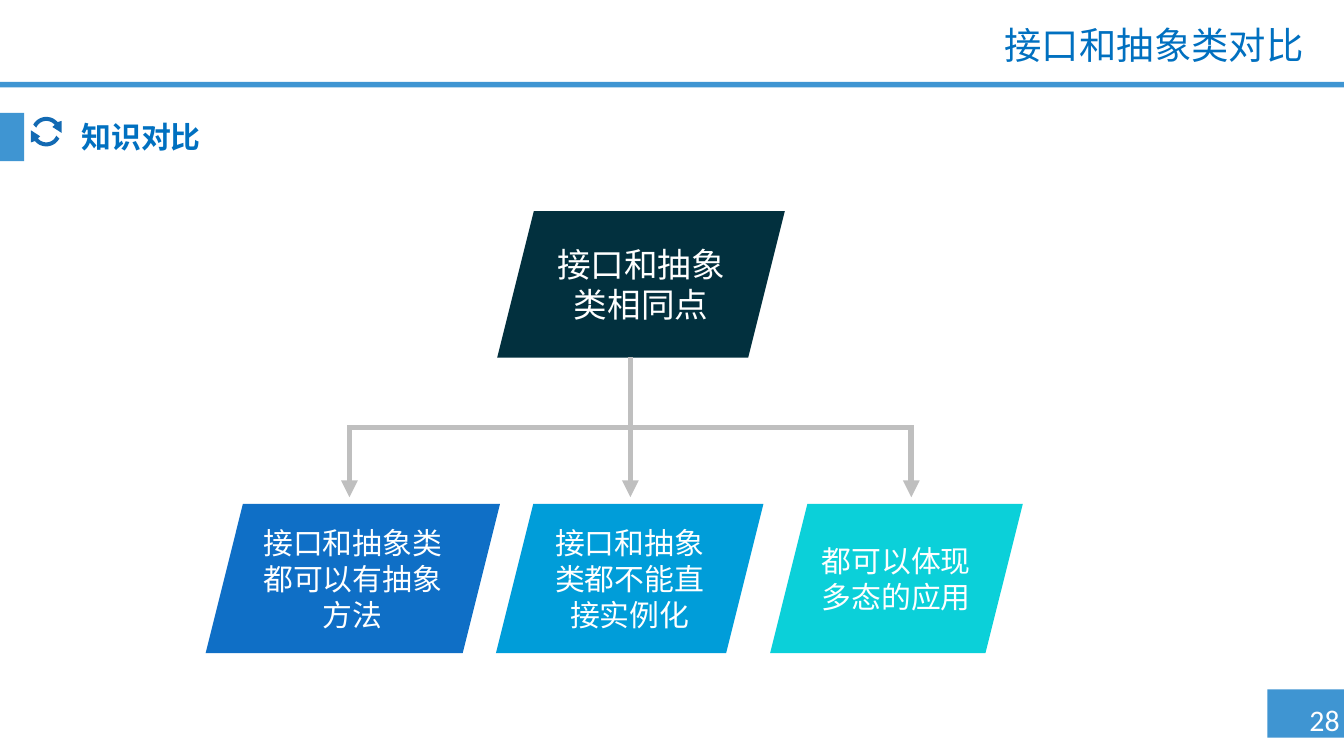
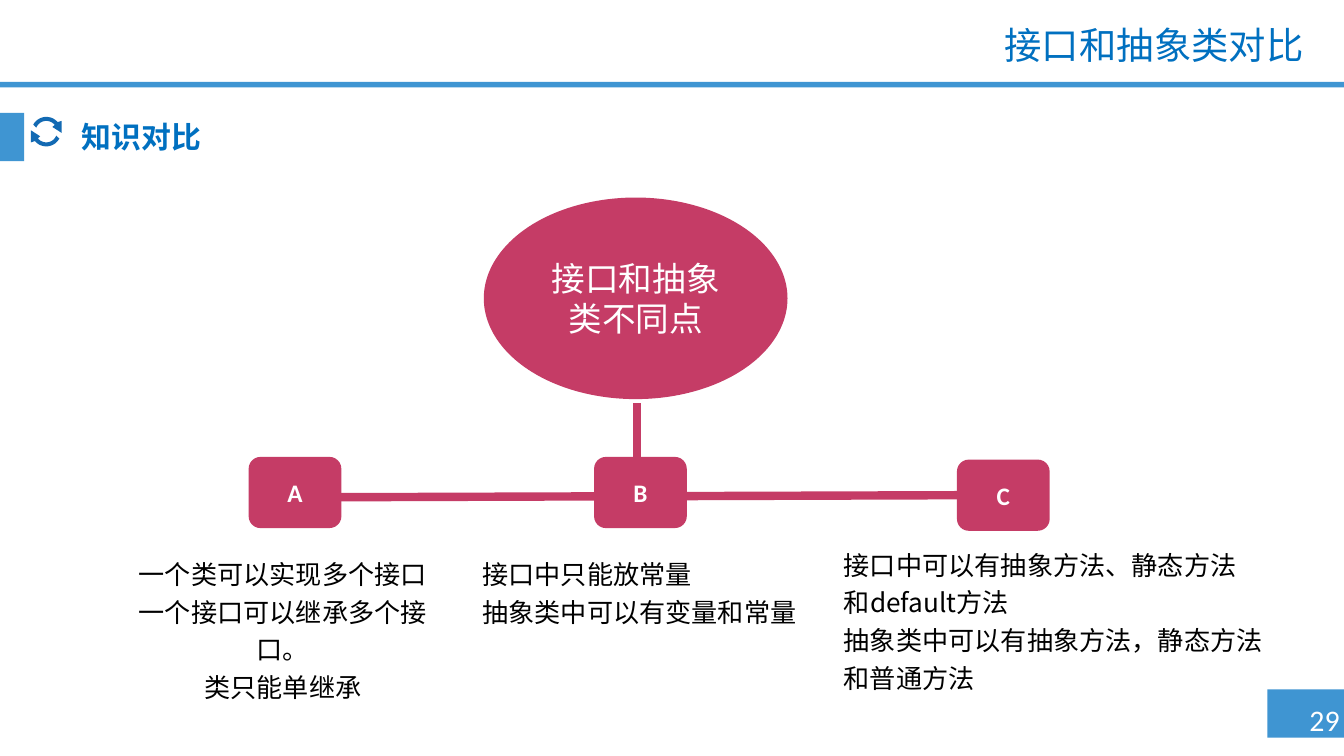
from math import cos, radians, sin
from typing import NamedTuple

from lxml.etree import SubElement
from pptx import Presentation
from pptx.dml.color import RGBColor
from pptx.enum.shapes import MSO_CONNECTOR, MSO_SHAPE
from pptx.enum.text import MSO_ANCHOR, PP_ALIGN
from pptx.oxml.ns import qn
from pptx.util import Pt

PX = 9144  # EMU in one px, 100 px to the inch


class Theme:
    band, title, icon = "3F95D2", "0070C0", "136AB3"
    root, leaves = "02303E", ("0F6FC6", "009DD9", "0BD0D9")
    wire, rose = "BFBFBF", "C53C66"
    white, black = "FFFFFF", "000000"
    latin, head, cjk = "Calibri", "Arial", "Noto Sans CJK SC"
    big, lead, base, note, tag = 20, 18, 16, 14, 13.5


class Box(NamedTuple):
    x: int
    y: int
    w: int
    h: int

    def sub(self, x, y, w, h):
        return Box(self.x + x, self.y + y, w, h)

    def emu(self):
        return [v * PX for v in self]


def put(item, values):
    for key, value in values.items():
        setattr(item, key, value)


def write(shape, text, size, color, font=Theme.latin, bold=False,
          align=PP_ALIGN.CENTER, space=1.0, anchor=MSO_ANCHOR.MIDDLE, wrap=True):
    """Fill a shape with one paragraph for each line of text."""
    frame = shape.text_frame
    frame.text = text
    put(frame, {"word_wrap": wrap, "vertical_anchor": anchor})
    for para in frame.paragraphs:
        put(para, {"alignment": align, "line_spacing": space})
        para._p.find(qn("a:pPr")).set("hangingPunct", "0")
        for run in para.runs:
            put(run.font, {"size": Pt(size), "bold": bold, "name": font})
            run.font.color.rgb = RGBColor.from_string(color)
            SubElement(run.font._element, qn("a:ea"), typeface=Theme.cjk)


def paint(shape, color):
    shape.shadow.inherit = False
    shape.fill.solid()
    shape.fill.fore_color.rgb = RGBColor.from_string(color)
    shape.line.fill.background()
    return shape


def block(slide, kind, box, color):
    return paint(slide.shapes.add_shape(kind, *box.emu()), color)


def label(slide, box, text, size, color, **form):
    write(slide.shapes.add_textbox(*box.emu()), text, size, color, **form)


def wire(slide, kind, ends, color, width):
    line = slide.shapes.add_connector(kind, *(round(v * PX) for v in ends))
    line.line.color.rgb = RGBColor.from_string(color)
    line.line.width = Pt(width)
    SubElement(line.element.spPr, qn("a:effectLst"))
    return line


def drop(slide, x, top, end, low):
    """Draw an elbow arrow that leaves and arrives vertically."""
    mid, half = (x + end) / 2, (low - top) / 2
    level, side = (top + low) / 2, (end - x) / 2
    # The elbow starts out sideways, so it is laid flat and turned by 90 degrees.
    flat = (mid - half, level + side, mid + half, level - side)
    line = wire(slide, MSO_CONNECTOR.ELBOW, flat, Theme.wire, 3)
    props = line.element.spPr
    props.find(qn("a:xfrm")).set("rot", "5400000")
    stroke = props.find(qn("a:ln"))
    SubElement(stroke, qn("a:miter"), lim="800000")
    SubElement(stroke, qn("a:tailEnd"), type="triangle")


def cycle(slide, box):
    """Draw two curved arrows chasing each other around the box centre."""
    fine = 100

    def arc(radius, start, stop):
        step = 8 if stop > start else -8
        return [(radius * cos(radians(a)), -radius * sin(radians(a)))
                for a in (*range(start, stop, step), stop)]

    head = [(11.5, -8), (11.5, 1), (4.5, -3.5)]
    arrow = arc(11, 152, 40) + head + arc(8, 38, 158)
    curves = [[(round(s * x * fine), round(s * y * fine)) for x, y in arrow]
              for s in (1, -1)]
    pen = slide.shapes.build_freeform(*curves[0][0], scale=PX / fine)
    pen.add_line_segments(curves[0][1:])
    pen.move_to(*curves[1][0])
    pen.add_line_segments(curves[1][1:])
    paint(pen.convert_to_shape(round((box.x + box.w / 2) * PX),
                               round((box.y + box.h / 2) * PX)), Theme.icon)


def frame(deck, page, number, width):
    """Add a slide with its bands, page number, title and section heading."""
    slide = deck.slides.add_slide(deck.slide_layouts[6])
    for band in ((943, 513, 57, 36), (0, 61, 1000, 4), (0, 84, 18, 36)):
        block(slide, MSO_SHAPE.RECTANGLE, page.sub(*band), Theme.band)
    label(slide, page.sub(962, 517, 52, 37), f"{number} ", Theme.base,
          Theme.white, wrap=False)
    label(slide, page.sub(240, 15, 740, 40), "接口和抽象类对比", Theme.big,
          Theme.title, font=Theme.head, align=PP_ALIGN.RIGHT, space=0.9)
    label(slide, page.sub(51, 84, width, 39), "知识对比", Theme.base,
          Theme.title, font=Theme.cjk, bold=True, align=PP_ALIGN.LEFT, space=0.9)
    cycle(slide, page.sub(23, 86, 23, 24))
    return slide


def tree(slide, box):
    """Show the shared points as one root over three leaves."""
    kind = MSO_SHAPE.PARALLELOGRAM
    root = block(slide, kind, box.sub(217, 0, 214, 109), Theme.root)
    write(root, "接口和抽象类相同点", Theme.lead, Theme.white)
    leaves = ((0, 219, "接口和抽象类都可以有抽象方法"),
              (216, 199, "接口和抽象类都不能直接实例化"),
              (420, 188, "都可以体现多态的应用"))
    for (x, width, text), color in zip(leaves, Theme.leaves):
        leaf = block(slide, kind, box.sub(x, 218, width, 111), color)
        write(leaf, text, Theme.base, Theme.white)
    trunk = box.x + 316
    for shift, top in ((209, 109), (-209, 109), (0, 160)):
        drop(slide, trunk, box.y + top, trunk + shift, box.y + 213)


def contrast(slide, box):
    """Show the differences as three tagged notes under an ellipse."""
    hub = block(slide, MSO_SHAPE.OVAL, box.sub(277, 0, 226, 150), Theme.rose)
    write(hub, "接口和抽象类不同点", Theme.lead, Theme.white)

    def bar(*ends):
        spots = [v + (box.x, box.y)[i % 2] for i, v in enumerate(ends)]
        return wire(slide, MSO_CONNECTOR.STRAIGHT, spots, Theme.rose, 4.5)

    rail = bar(158, 223, 629, 221)
    for name, x, y in (("A", 102, 193), ("B", 359, 193), ("C", 629, 195)):
        tag = block(slide, MSO_SHAPE.ROUNDED_RECTANGLE,
                    box.sub(x, y, 69, 53), Theme.rose)
        write(tag, name, Theme.tag, Theme.white, bold=True)
    rail.end_connect(tag, 1)
    bar(391, 193, 391, 153)

    notes = (
        ((266, 259, 255, 89), PP_ALIGN.LEFT,
         "接口中只能放常量\n抽象类中可以有变量和常量"),
        ((535, 252, 362, 89), PP_ALIGN.LEFT,
         "接口中可以有抽象方法、静态方法\n和default方法\n"
         "抽象类中可以有抽象方法，静态方法\n和普通方法"),
        ((0, 259, 255, 89), PP_ALIGN.CENTER,
         "一个类可以实现多个接口\n一个接口可以继承多个接口。\n类只能单继承"),
    )
    for place, align, text in notes:
        label(slide, box.sub(*place), text, Theme.note, Theme.black,
              font=Theme.cjk, align=align, space=1.2, anchor=MSO_ANCHOR.TOP)


def main():
    deck = Presentation()
    page = Box(0, 0, 1000, 562)
    wide = page.w * PX
    put(deck, {"slide_width": wide, "slide_height": wide * 9 // 16})
    tree(frame(deck, page, 28, 126), page.sub(153, 157, 608, 329))
    contrast(frame(deck, page, 29, 819), page.sub(83, 147, 897, 348))
    deck.save("out.pptx")


if __name__ == "__main__":
    main()
